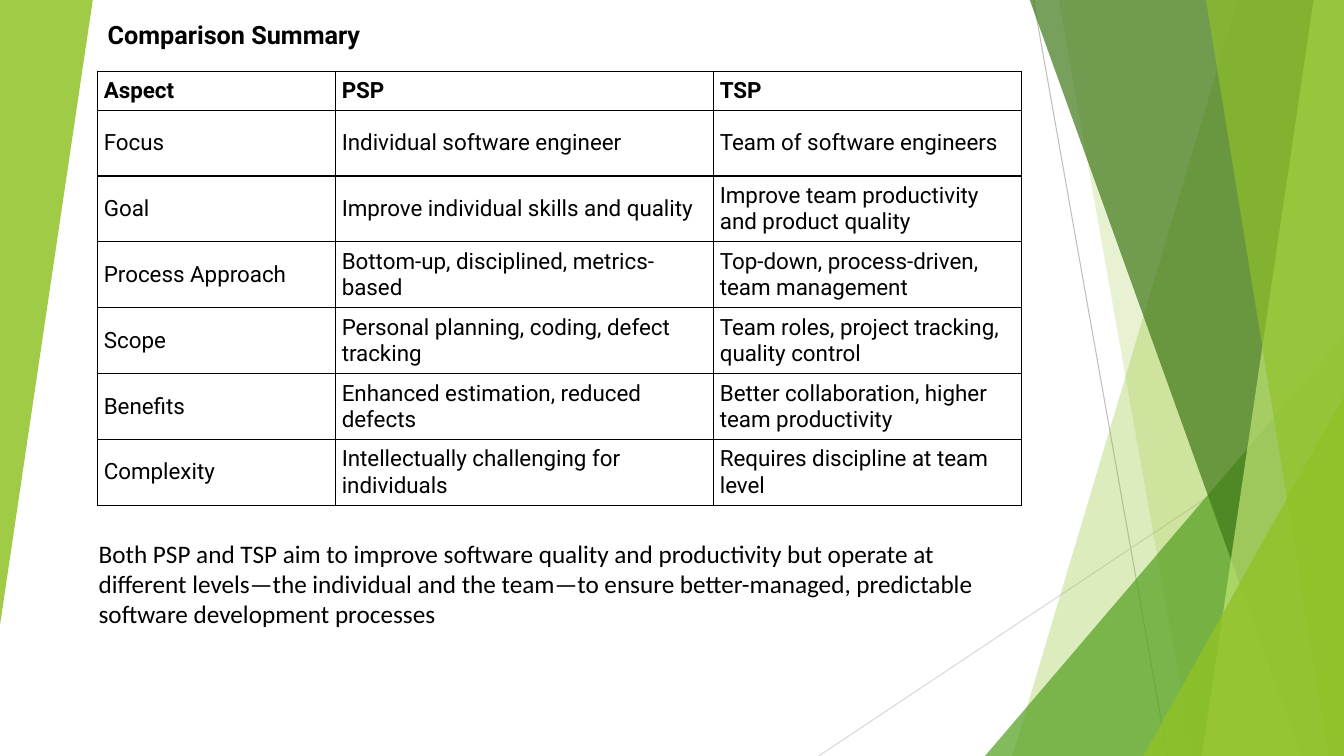
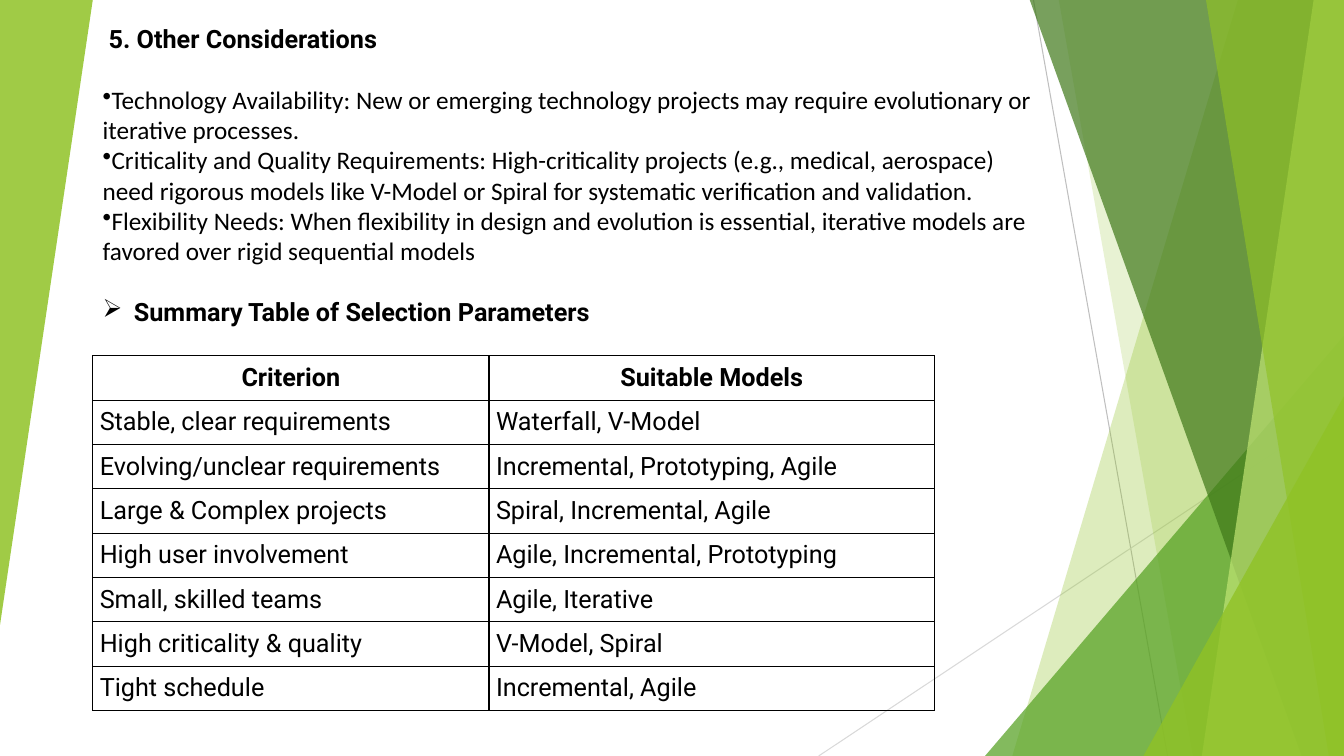
from lxml.etree import SubElement
from pptx import Presentation
from pptx.dml.color import RGBColor
from pptx.enum.shapes import MSO_CONNECTOR, MSO_SHAPE
from pptx.enum.text import MSO_ANCHOR, MSO_AUTO_SIZE, PP_ALIGN
from pptx.oxml.ns import qn
from pptx.util import Pt

PX = 9144  # EMU per px, 100 px to the inch
WIDE, HIGH = 1333, 750
BLACK, GREEN = "000000", "90C226"
HEAD, BODY = "Roboto", "Calibri"

# Shared backdrop
LINES = [((1025, 0), (1158, 750), "BFBFBF"), ((1333, 403), (812, 750), "D9D9D9")]
# slab: left edge at top and at foot; wedge: left, top, width, height, turn
PANES = [
    ("slab", (1228, 1004), GREEN, 30),
    ("slab", (1050, 1183), GREEN, 20),
    ("wedge", (977, 333, 356, 417, 0), "54A021", 72),
    ("slab", (1021, 1291), "3F7819", 70),
    ("slab", (1303, 1192), "C0E474", 70),
    ("slab", (1196, 1318), GREEN, 65),
    ("wedge", (1134, 393, 199, 357, 0), GREEN, 80),
    ("wedge", (0, 0, 92, 620, 180), GREEN, 85),
]

# Paragraph styles: font, bold, bullet, left px, first-line px, space before pt
STYLES = {
    "title": (HEAD, True, None, 0, 0, 0),
    "inset": (HEAD, True, None, 6, 0, 0),
    "plain": (BODY, False, None, 0, 0, 0),
    "first": (BODY, False, "•", 0, 0, 22),
    "point": (BODY, False, "•", 0, 0, 0),
    "arrow": (HEAD, True, "➢", 31, -31, 22),
}

# Slide content
SLIDES = [
    {
        "texts": [
            ((97, 14, 916, 40), [("title", "Comparison Summary")]),
            ((88, 529, 925, 101), [
                ("plain", "Both PSP and TSP aim to improve software quality and "
                 "productivity but operate at different levels—the individual and "
                 "the team—to ensure better-managed, predictable software "
                 "development processes"),
            ]),
        ],
        "table": {
            "at": (97, 71), "cols": (236, 375, 305), "rows": (38, 65),
            "size": 16, "pad": 6, "head": PP_ALIGN.LEFT,
            "cells": [
                ("Aspect", "PSP", "TSP"),
                ("Focus", "Individual software engineer", "Team of software engineers"),
                ("Goal", "Improve individual skills and quality",
                 "Improve team productivity and product quality"),
                ("Process Approach", "Bottom-up, disciplined, metrics-based",
                 "Top-down, process-driven, team management"),
                ("Scope", "Personal planning, coding, defect tracking",
                 "Team roles, project tracking, quality control"),
                ("Benefits", "Enhanced estimation, reduced defects",
                 "Better collaboration, higher team productivity"),
                ("Complexity", "Intellectually challenging for individuals",
                 "Requires discipline at team level"),
            ],
        },
    },
    {
        "texts": [
            ((92, 18, 943, 313), [
                ("inset", "5. Other Considerations"),
                ("first", "Technology Availability: New or emerging technology projects "
                 "may require evolutionary or iterative processes."),
                ("point", "Criticality and Quality Requirements: High-criticality "
                 "projects (e.g., medical, aerospace) need rigorous models like "
                 "V-Model or Spiral for systematic verification and validation."),
                ("point", "Flexibility Needs: When flexibility in design and evolution "
                 "is essential, iterative models are favored over rigid sequential "
                 "models"),
                ("arrow", "Summary Table of Selection Parameters"),
            ]),
        ],
        "table": {
            "at": (92, 353), "cols": (393, 442), "rows": (43, 43),
            "size": 18, "pad": 7, "head": PP_ALIGN.CENTER,
            "cells": [
                ("Criterion", "Suitable Models"),
                ("Stable, clear requirements", "Waterfall, V-Model"),
                ("Evolving/unclear requirements", "Incremental, Prototyping, Agile"),
                ("Large & Complex projects", "Spiral, Incremental, Agile"),
                ("High user involvement", "Agile, Incremental, Prototyping"),
                ("Small, skilled teams", "Agile, Iterative"),
                ("High criticality & quality", "V-Model, Spiral"),
                ("Tight schedule", "Incremental, Agile"),
            ],
        },
    },
]


def emu(*vals):
    return [val * PX for val in vals]


def tint(code):
    return RGBColor.from_string(code)


def add_run(par, text, size, font, bold):
    run = par.add_run()
    run.text = text
    run.font.size, run.font.name, run.font.bold = Pt(size), font, bold
    run.font.color.rgb = tint(BLACK)


# Backdrop parts
def add_line(shapes, start, end, code):
    line = shapes.add_connector(MSO_CONNECTOR.STRAIGHT, *emu(*start, *end))
    line.line.color.rgb = tint(code)
    line.line.width = Pt(0.75)
    SubElement(line.element.spPr, qn("a:effectLst"))
    return line


def add_pane(shapes, kind, geo, code, alpha):
    if kind == "slab":
        top, foot = geo
        path = shapes.build_freeform(top, -1, scale=PX)
        path.add_line_segments([(WIDE, -1), (WIDE, HIGH), (foot, HIGH)], close=True)
        pane = path.convert_to_shape()
    else:
        pane = shapes.add_shape(MSO_SHAPE.ISOSCELES_TRIANGLE, *emu(*geo[:4]))
        pane.adjustments[0] = 1
        pane.rotation = geo[4]
    pane.shadow.inherit = False
    pane.line.fill.background()
    pane.fill.solid()
    pane.fill.fore_color.rgb = tint(code)
    for node in pane.element.spPr.iter(qn("a:srgbClr")):
        SubElement(node, qn("a:alpha"), val=str(alpha * 1000))
    return pane


def set_back(layout, shapes):
    """Draw the backdrop and move it to the layout that all slides use."""
    for holder in list(layout.placeholders):
        layout.shapes.element.remove(holder.element)
    parts = [add_line(shapes, *line) for line in LINES]
    parts += [add_pane(shapes, *pane) for pane in PANES]
    for part in parts:
        layout.shapes.element.append(part.element)


# Slide parts
def add_text(shapes, box, pars):
    frame = shapes.add_textbox(*emu(*box)).text_frame
    frame.word_wrap = True
    frame.auto_size = MSO_AUTO_SIZE.SHAPE_TO_FIT_TEXT
    for num, (style, text) in enumerate(pars):
        par = frame.add_paragraph() if num else frame.paragraphs[0]
        font, bold, mark, left, first, gap = STYLES[style]
        par.space_before = Pt(gap)
        props = par._p.get_or_add_pPr()
        props.set("marL", str(left * PX))
        props.set("indent", str(first * PX))
        if mark:
            SubElement(props, qn("a:buChar"), char=mark)
        add_run(par, text, 18, font, bold)


def add_edges(cell):
    props = cell._tc.get_or_add_tcPr()
    for side in "LRTB":
        edge = SubElement(props, qn("a:ln" + side), w=str(Pt(1)))
        fill = SubElement(edge, qn("a:solidFill"))
        SubElement(fill, qn("a:srgbClr"), val=BLACK)


def add_grid(shapes, at, cols, rows, size, pad, head, cells):
    tall = [rows[0]] + [rows[1]] * (len(cells) - 1)
    box = emu(*at, sum(cols), sum(tall))
    grid = shapes.add_table(len(cells), len(cols), *box).table
    grid.first_row = grid.horz_banding = False
    for col, wide in zip(grid.columns, cols):
        col.width = wide * PX
    for row, high, texts in zip(grid.rows, tall, cells):
        row.height = high * PX
        top = texts is cells[0]
        for cell, text in zip(row.cells, texts):
            add_edges(cell)
            cell.fill.background()
            cell.vertical_anchor = MSO_ANCHOR.MIDDLE
            cell.margin_left = cell.margin_right = pad * PX
            cell.margin_top = cell.margin_bottom = pad * PX
            par = cell.text_frame.paragraphs[0]
            par.alignment = head if top else PP_ALIGN.LEFT
            add_run(par, text, size, HEAD, top)


def main():
    deck = Presentation()
    deck.slide_width, deck.slide_height = emu(WIDE, HIGH)
    blank = deck.slide_layouts[6]
    for num, page in enumerate(SLIDES):
        shapes = deck.slides.add_slide(blank).shapes
        if num == 0:
            set_back(blank, shapes)
        for box, pars in page["texts"]:
            add_text(shapes, box, pars)
        add_grid(shapes, **page["table"])
    deck.save("out.pptx")


if __name__ == "__main__":
    main()
